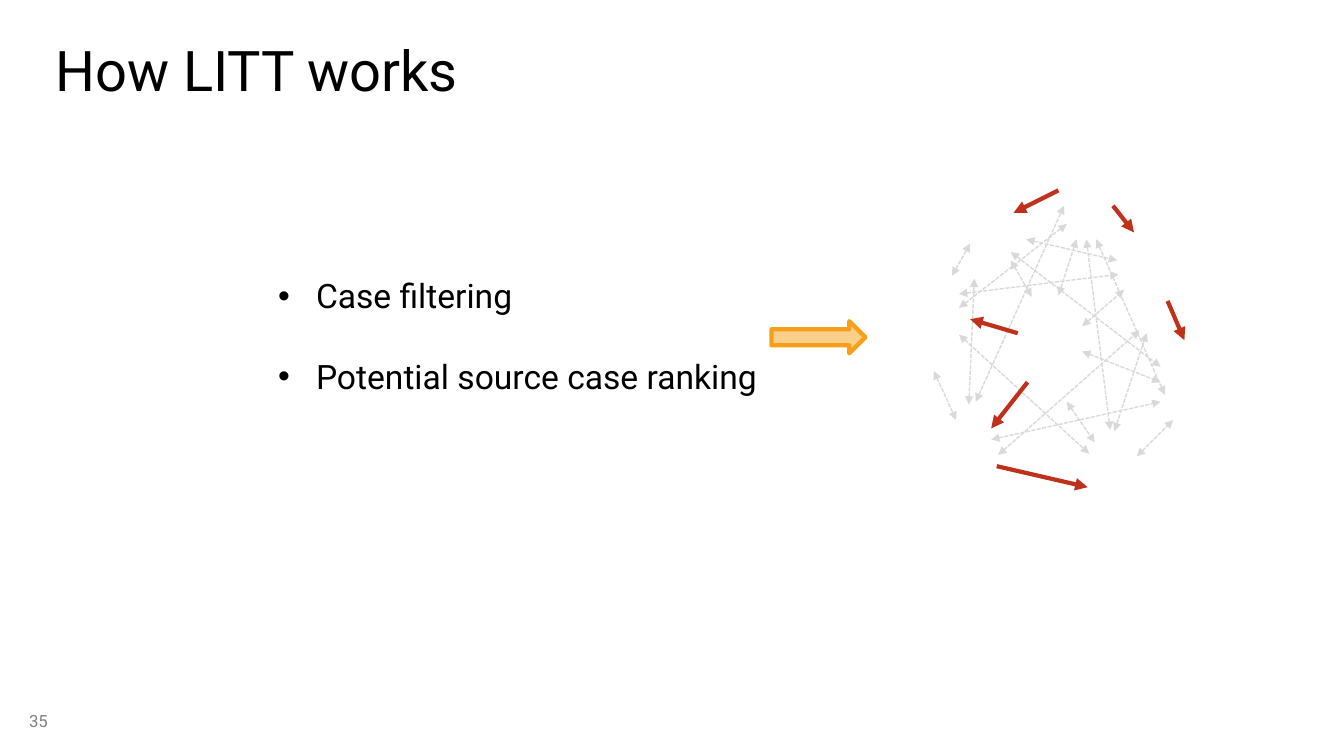
from lxml.etree import SubElement
from pptx import Presentation
from pptx.dml.color import RGBColor
from pptx.enum.dml import MSO_LINE
from pptx.enum.shapes import MSO_CONNECTOR as Link, MSO_SHAPE as Shape
from pptx.enum.text import MSO_ANCHOR as Anchor, MSO_AUTO_SIZE as AutoSize, PP_ALIGN as Align
from pptx.oxml.ns import qn
from pptx.util import Pt

COLORS = {"text": "000000", "number": "808080", "orange": "F6A01A",
          "candidate": "D9D9D9", "source": "BF311A"}

# Each entry is (x1, y1, x2, y2) in points.
CANDIDATE_LINKS = [
    (756, 211, 769, 171), (773, 251, 829, 273), (762, 287, 782, 316),
    (737, 212, 722, 186), (773, 233, 803, 207), (733, 171, 798, 186),
    (812, 326, 838, 300), (713, 325, 814, 236), (776, 171, 793, 307),
    (680, 197, 693, 174), (667, 265, 683, 300), (685, 210, 799, 196),
    (685, 220, 762, 160), (697, 287, 760, 147), (692, 289, 696, 199),
    (708, 314, 829, 287), (685, 239, 778, 324), (722, 180, 829, 262),
    (783, 171, 832, 282), (796, 308, 819, 238),
]
SOURCE_LINKS = [
    (734, 273, 708, 306), (727, 238, 693, 228), (756, 136, 724, 152),
    (795, 147, 810, 166), (712, 333, 777, 348), (834, 215, 846, 243),
]


def color(name):
    return RGBColor.from_string(COLORS[name])


def place(shape, left, top, width, height):
    shape.left, shape.top, shape.width, shape.height = map(Pt, (left, top, width, height))


def write(frame, lines, size, tint="text", anchor=Anchor.MIDDLE, spacing=1.0,
          gap=0, bullet=None, indent=0):
    """Fill a text frame with one paragraph per line; gap separates paragraphs."""
    frame.word_wrap = True
    frame.auto_size = AutoSize.NONE
    frame.vertical_anchor = anchor
    for index, line in enumerate(lines):
        paragraph = frame.add_paragraph() if index else frame.paragraphs[0]
        paragraph.alignment = Align.LEFT
        paragraph.line_spacing = spacing
        paragraph.space_before = Pt(gap if index else 0)
        paragraph.space_after = Pt(0)
        if bullet:
            properties = paragraph._p.get_or_add_pPr()
            properties.set("marL", str(Pt(indent)))
            properties.set("indent", str(-Pt(indent)))
            SubElement(properties, qn("a:buFont"), typeface="Arial")
            SubElement(properties, qn("a:buChar"), char=bullet)
        run = paragraph.add_run()
        run.text = line
        run.font.name = "Roboto"
        run.font.size = Pt(size)
        run.font.color.rgb = color(tint)


class SlideBuilder:
    def __init__(self, deck):
        self.slide = deck.slides.add_slide(deck.slide_layouts[1])
        self.shapes = self.slide.shapes

    def title(self, text, box):
        place(self.shapes.title, *box)
        write(self.shapes.title.text_frame, [text], size=40, spacing=0.9)

    def bullets(self, items, box):
        body = self.slide.placeholders[1]
        place(body, *box)
        write(body.text_frame, items, size=24, anchor=Anchor.TOP, gap=29,
              bullet="•", indent=27)

    def page_number(self, text, box):
        number = self.shapes.add_textbox(*map(Pt, box))
        write(number.text_frame, [text], size=12, tint="number")

    def block_arrow(self, box, rotation):
        arrow = self.shapes.add_shape(Shape.DOWN_ARROW, *map(Pt, box))
        arrow.rotation = rotation
        arrow.shadow.inherit = False
        arrow.fill.solid()
        arrow.fill.fore_color.rgb = color("orange")
        fill_color = arrow._element.spPr.find(qn("a:solidFill"))[0]
        SubElement(fill_color, qn("a:alpha"), val="50000")
        arrow.line.color.rgb = color("orange")
        arrow.line.width = Pt(3)

    def link(self, group, ends, tint, width, two_way=False):
        link = group.shapes.add_connector(Link.STRAIGHT, *map(Pt, ends))
        link.line.color.rgb = color(tint)
        link.line.width = Pt(width)
        if two_way:
            link.line.dash_style = MSO_LINE.SQUARE_DOT
        properties = link._element.spPr
        outline = properties.find(qn("a:ln"))
        if two_way:
            SubElement(outline, qn("a:headEnd"), type="triangle")
        SubElement(outline, qn("a:tailEnd"), type="triangle")
        SubElement(properties, qn("a:effectLst"))

    def network(self):
        group = self.shapes.add_group_shape()
        for ends in CANDIDATE_LINKS:
            self.link(group, ends, "candidate", 1, two_way=True)
        for ends in SOURCE_LINKS:
            self.link(group, ends, "source", 3)


def main():
    deck = Presentation()
    deck.slide_width, deck.slide_height = Pt(960), Pt(540)
    builder = SlideBuilder(deck)
    builder.title("How LITT works", (32.4, 0, 828, 104.4))
    builder.bullets(["Case filtering", "Potential source case ranking"],
                    (191.5, 193, 373, 94.3))
    builder.page_number("35", (13.7, 500.4, 216, 28.8))
    builder.block_arrow((573.1, 207.4, 23, 67), rotation=270)
    builder.network()
    deck.save("out.pptx")


if __name__ == "__main__":
    main()
